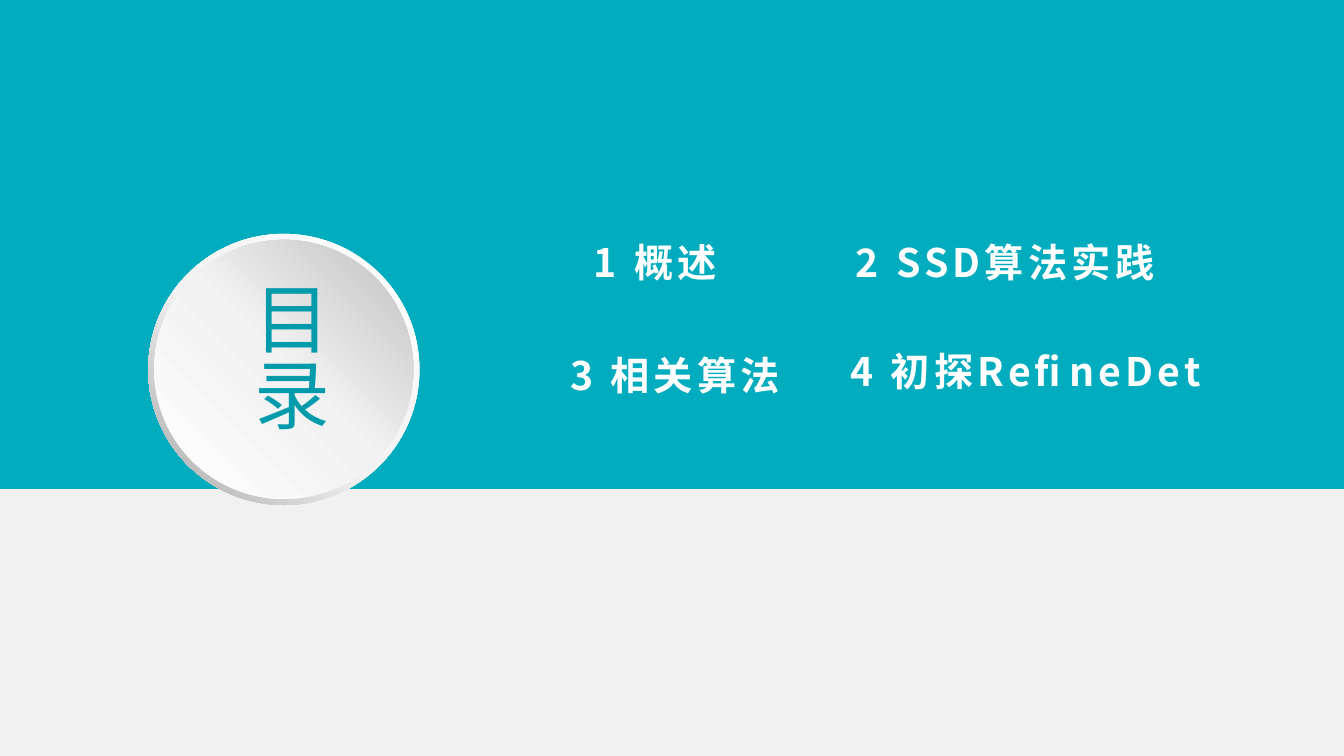
from copy import deepcopy

from pptx import Presentation
from pptx.dml.color import RGBColor
from pptx.enum.shapes import MSO_SHAPE as SHAPE
from pptx.enum.text import MSO_AUTO_SIZE as AUTO, PP_ALIGN as ALIGN
from pptx.oxml.ns import qn
from pptx.util import Inches, Pt

WIDTH, HEIGHT = 13.33, 7.5
BAND_HEIGHT = 4.85
FONT = "Noto Sans CJK SC"
TEAL = RGBColor(0x01, 0xAC, 0xBE)
DARK_TEAL = RGBColor(0x02, 0x9B, 0xAB)
PALE = RGBColor(0xF1, 0xF1, 0xF1)
WHITE = RGBColor(0xFF, 0xFF, 0xFF)
LIGHT = RGBColor(0xF2, 0xF2, 0xF2)
SILVER = RGBColor(0xBF, 0xBF, 0xBF)
GREY = RGBColor(0xA6, 0xA6, 0xA6)


def add_plain_shape(slide, kind, box):
    sp = slide.shapes.add_shape(kind, *map(Inches, box))
    sp.shadow.inherit = False
    sp.line.fill.background()
    return sp


def fill_gradient(sp, stops, angle):
    sp.fill.gradient()
    sp.fill.gradient_angle = angle
    gs_list = sp._element.spPr.find(qn("a:gradFill")).find(qn("a:gsLst"))
    gs_list.append(deepcopy(gs_list[-1]))
    for stop, (position, color) in zip(sp.fill.gradient_stops, stops):
        stop.position = position
        stop.color.rgb = color


def add_label(slide, box, text, size, color, align, bold=False):
    sp = slide.shapes.add_textbox(*map(Inches, box))
    tf = sp.text_frame
    tf.word_wrap = True
    tf.auto_size = AUTO.SHAPE_TO_FIT_TEXT
    p = tf.paragraphs[0]
    p.alignment = align
    r = p.add_run()
    r.text = text
    r.font.name = FONT
    r.font.size = Pt(size)
    r.font.bold = bold
    r.font.color.rgb = color
    rpr = r._r.get_or_add_rPr()
    rpr.find(qn("a:latin")).addnext(
        rpr.makeelement(qn("a:ea"), {"typeface": FONT}))
    return sp, rpr


def add_badge(slide, left, top, size):
    ring = add_plain_shape(slide, SHAPE.DONUT, (left, top, size, size))
    ring.adjustments[0] = 0.049
    fill_gradient(ring, [(0, WHITE), (0.55, LIGHT), (1, GREY)], 225)
    inset = 0.06
    inner = size - 2 * inset
    disc = add_plain_shape(
        slide, SHAPE.OVAL, (left + inset, top + inset, inner, inner))
    fill_gradient(disc, [(0, WHITE), (0.51, LIGHT), (1, SILVER)], 45)
    title, _ = add_label(slide, (left + 0.79, top + 0.37, 1.11, 1.85),
                         "目录", 54, DARK_TEAL, ALIGN.JUSTIFY)
    title.text_frame._txBody.bodyPr.set("vert", "eaVert")


def add_contents(slide, left, top):
    entries = [
        ("1 概述", 0.37, 0, 3.04, 0.57, ALIGN.CENTER),
        ("2 SSD算法实践", 3.78, 0, 3.65, 0.57, ALIGN.LEFT),
        ("3 相关算法", 0, 1.12, 4.17, 0.57, ALIGN.CENTER),
        ("4 初探RefineDet", 3.7, 1.08, 3.73, 1.04, ALIGN.CENTER),
    ]
    for text, dx, dy, width, height, align in entries:
        _, rpr = add_label(slide, (left + dx, top + dy, width, height),
                           text, 28, WHITE, align, bold=True)
        rpr.set("spc", "300")


def build_contents_slide(prs):
    slide = prs.slides.add_slide(prs.slide_layouts[6])
    slide.background.fill.solid()
    slide.background.fill.fore_color.rgb = PALE
    band = add_plain_shape(slide, SHAPE.RECTANGLE, (0, 0, WIDTH, BAND_HEIGHT))
    band.fill.solid()
    band.fill.fore_color.rgb = TEAL
    add_badge(slide, 1.47, 2.32, 2.69)
    add_contents(slide, 4.61, 2.32)


def main():
    prs = Presentation()
    prs.slide_width = Inches(WIDTH)
    prs.slide_height = Inches(HEIGHT)
    build_contents_slide(prs)
    prs.save("out.pptx")


if __name__ == "__main__":
    main()
